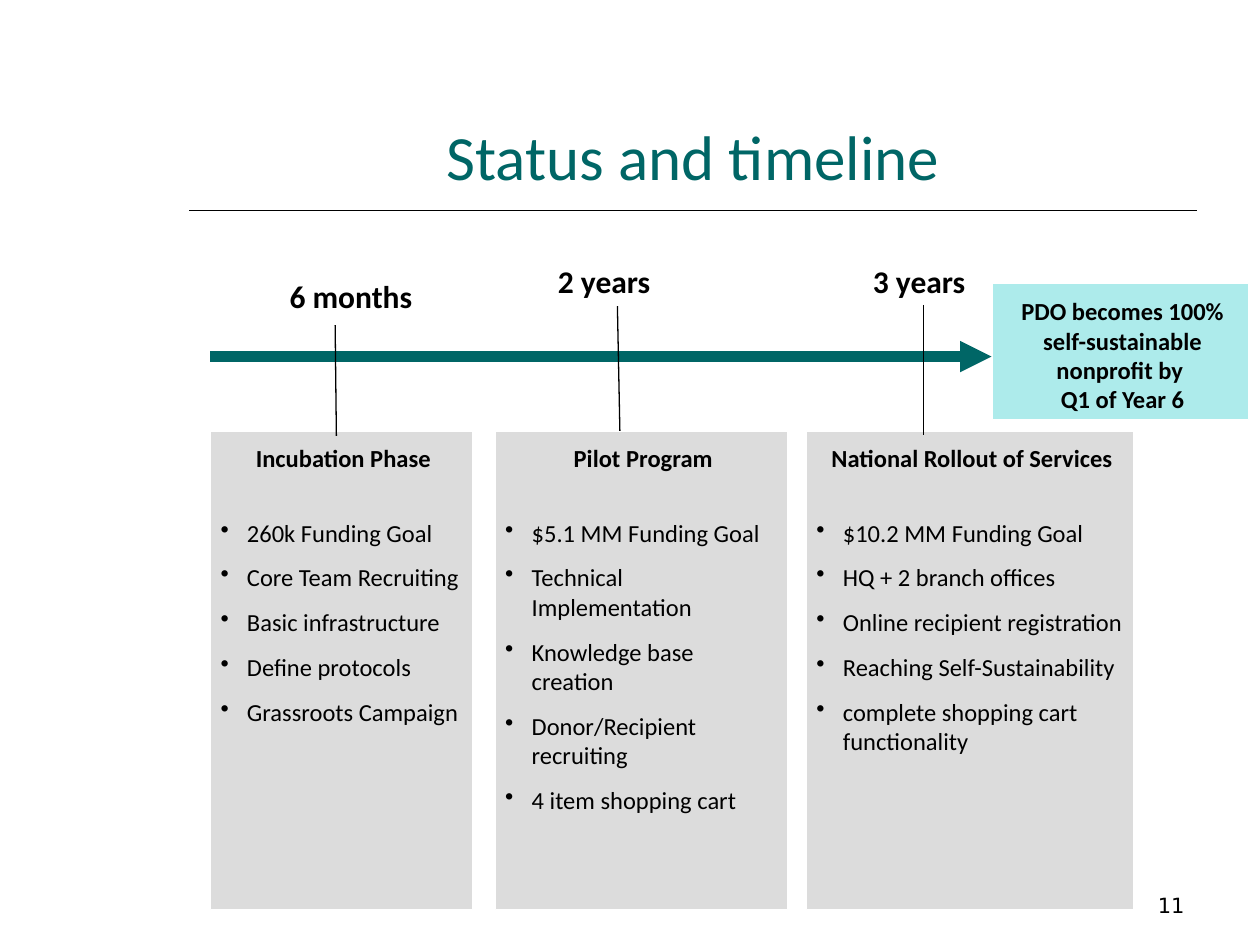
from typing import NamedTuple

from pptx import Presentation
from pptx.dml.color import RGBColor
from pptx.enum.shapes import MSO_CONNECTOR, MSO_SHAPE
from pptx.enum.text import MSO_ANCHOR, PP_ALIGN
from pptx.oxml.ns import qn
from pptx.util import Inches, Pt
from lxml import etree

STRAIGHT = MSO_CONNECTOR.STRAIGHT
RECTANGLE = MSO_SHAPE.RECTANGLE
TOP, BOTTOM = MSO_ANCHOR.TOP, MSO_ANCHOR.BOTTOM
LEFT, CENTER, RIGHT = PP_ALIGN.LEFT, PP_ALIGN.CENTER, PP_ALIGN.RIGHT

TEAL, AQUA, GREY = "006666", "ADEBEB", "DCDCDC"
BLACK, WHITE = "000000", "FFFFFF"
PANEL_TOP, PANEL_HEIGHT = 3.42, 3.8
ARROW_Y = 2.83
HANGING = 0.21


class Box(NamedTuple):
    left: float
    top: float
    width: float
    height: float

    def emu(self):
        return [Inches(value) for value in self]


class Segment(NamedTuple):
    x1: float
    y1: float
    x2: float
    y2: float


class Phase(NamedTuple):
    duration: str
    duration_left: float
    duration_top: float
    tick: Segment
    left: float
    width: float
    heading: str
    goals: list[str]


PHASES = [
    Phase("6 months", 2.25, 2.2, Segment(2.66, 2.58, 2.67, 3.46), 1.67, 2.08,
          "Incubation Phase",
          ["260k Funding Goal", "Core Team Recruiting", "Basic infrastructure",
           "Define protocols", "Grassroots Campaign"]),
    Phase("2 years", 4.26, 2.08, Segment(4.9, 2.43, 4.92, PANEL_TOP), 3.93, 2.32,
          "Pilot Program",
          ["$5.1 MM Funding Goal", "Technical Implementation",
           "Knowledge base creation", "Donor/Recipient recruiting",
           "4 item shopping cart"]),
    Phase("3 years", 6.76, 2.08, Segment(7.33, 2.42, 7.33, 3.45), 6.4, 2.6,
          "National Rollout of Services",
          ["$10.2 MM Funding Goal", "HQ + 2 branch offices",
           "Online recipient registration", "Reaching Self-Sustainability",
           "complete shopping cart functionality"]),
]


def color(value: str) -> RGBColor:
    return RGBColor.from_string(value)


def set_insets(frame, left: float, top: float, right: float, bottom: float) -> None:
    frame.margin_left, frame.margin_top = Inches(left), Inches(top)
    frame.margin_right, frame.margin_bottom = Inches(right), Inches(bottom)


def add_text(paragraph, text: str, size: float, ink: str = BLACK,
             bold: bool = False, font: str = "Calibri") -> None:
    run = paragraph.add_run()
    run.text = text
    run.font.name, run.font.size, run.font.bold = font, Pt(size), bold
    run.font.color.rgb = color(ink)


def add_label(slide, box: Box, text: str, size: float, align=CENTER, anchor=TOP,
              insets=(0.1, 0.05, 0.1, 0.05), **style) -> None:
    frame = slide.shapes.add_textbox(*box.emu()).text_frame
    frame.word_wrap = True
    frame.vertical_anchor = anchor
    set_insets(frame, *insets)
    paragraph = frame.paragraphs[0]
    paragraph.alignment = align
    add_text(paragraph, text, size, **style)


def add_panel(slide, box: Box, fill: str):
    """Draw a filled rectangle and return its text frame."""
    panel = slide.shapes.add_shape(RECTANGLE, *box.emu())
    panel.shadow.inherit = False
    panel.fill.solid()
    panel.fill.fore_color.rgb = color(fill)
    panel.line.color.rgb = color(WHITE)
    panel.line.width = Pt(0.75)
    frame = panel.text_frame
    frame.word_wrap = True
    frame.vertical_anchor = TOP
    set_insets(frame, 0.08, 0.1, 0.05, 0.1)
    frame.paragraphs[0].alignment = CENTER
    return frame


def add_line(slide, segment: Segment, ink: str, width: float,
             arrow: bool = False) -> None:
    line = slide.shapes.add_connector(STRAIGHT, *[Inches(v) for v in segment])
    line.line.color.rgb = color(ink)
    line.line.width = Pt(width)
    if arrow:
        etree.SubElement(line.line._get_or_add_ln(), qn("a:tailEnd"), type="triangle")
    etree.SubElement(line._element.spPr, qn("a:effectLst"))


def add_bullet(frame, text: str, space_before: float) -> None:
    paragraph = frame.add_paragraph()
    paragraph.alignment = LEFT
    paragraph.space_before = Pt(space_before)
    properties = paragraph._p.get_or_add_pPr()
    properties.set("marL", str(Inches(HANGING)))
    properties.set("indent", str(-Inches(HANGING)))
    etree.SubElement(properties, qn("a:buChar"), char="•")
    add_text(paragraph, text, 14)


def add_phase(slide, phase: Phase) -> None:
    frame = add_panel(slide, Box(phase.left, PANEL_TOP, phase.width, PANEL_HEIGHT), GREY)
    add_text(frame.paragraphs[0], phase.heading, 14, bold=True)
    for index, goal in enumerate(phase.goals):
        add_bullet(frame, goal, 8.8 if index else 25.5)
    add_line(slide, phase.tick, BLACK, 0.75)
    add_label(slide, Box(phase.duration_left, phase.duration_top, 1.07, 0.3),
              phase.duration, 18, insets=(0, 0, 0, 0), bold=True)


def main() -> None:
    deck = Presentation()
    deck.slide_width, deck.slide_height = Inches(10), Inches(7.5)
    slide = deck.slides.add_slide(deck.slide_layouts[6])

    # Title and rule
    add_line(slide, Segment(1.5, 1.67, 9.5, 1.67), BLACK, 1)
    add_label(slide, Box(1.5, 0.33, 8, 1.25), "Status and timeline", 36,
              anchor=BOTTOM, ink=TEAL)

    # Timeline arrow and phases
    add_line(slide, Segment(1.67, ARROW_Y, 7.87, ARROW_Y), TEAL, 6, arrow=True)
    for phase in PHASES:
        add_phase(slide, phase)

    # Outcome at the end of the arrow
    outcome = add_panel(slide, Box(7.88, 2.25, 2.03, 1.08), AQUA).paragraphs[0]
    add_text(outcome, "PDO becomes 100% self-sustainable nonprofit by ", 14, bold=True)
    outcome.add_line_break()
    add_text(outcome, "Q1 of Year 6", 14, bold=True)

    # Slide number
    add_label(slide, Box(7.17, 6.83, 2.33, 0.5), "11", 12, align=RIGHT,
              anchor=BOTTOM, font="DejaVu Sans")

    deck.save("out.pptx")


if __name__ == "__main__":
    main()
